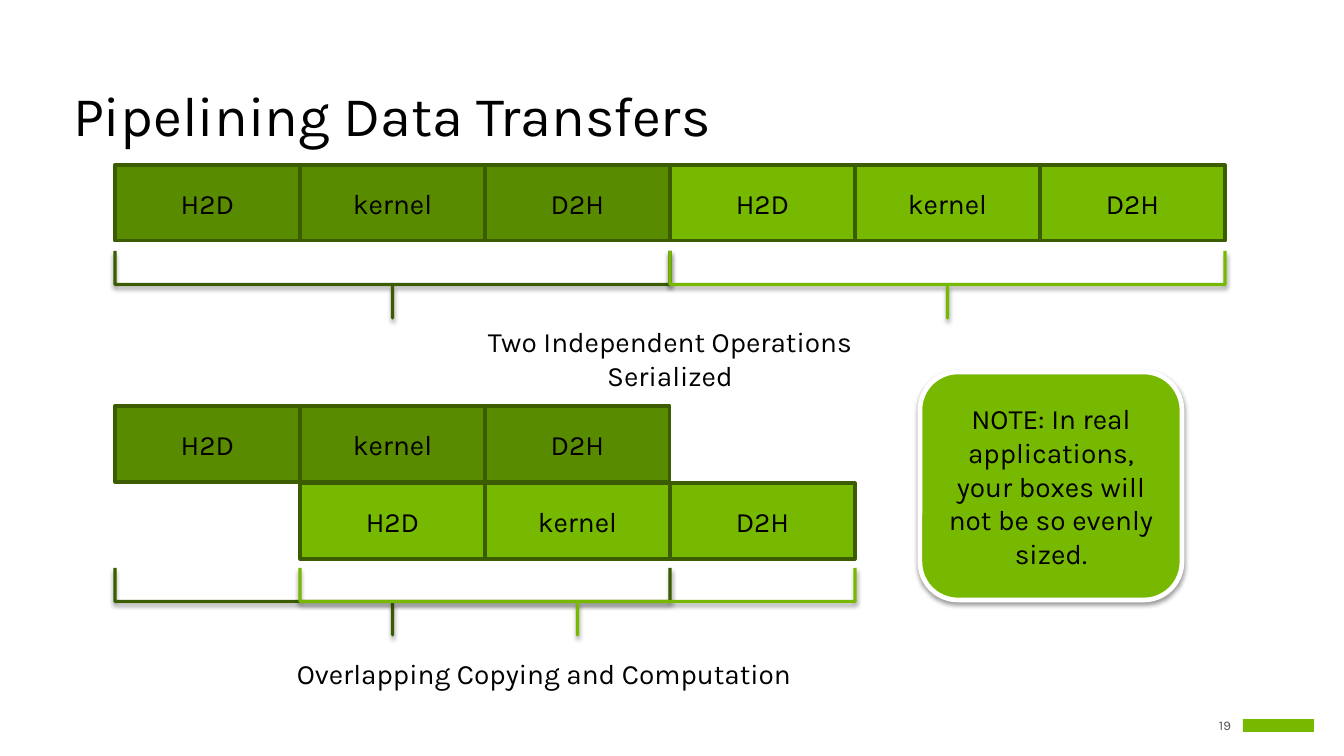
from lxml.etree import SubElement
from pptx import Presentation
from pptx.dml.color import RGBColor
from pptx.enum.shapes import MSO_SHAPE as Shape
from pptx.enum.text import MSO_ANCHOR as Anchor, PP_ALIGN as Align
from pptx.oxml.ns import qn
from pptx.util import Emu, Pt

EMU_PER_PX = 914400 / 112
FONT = "Karla"
BLACK, WHITE, GRAY = "000000", "FFFFFF", "505050"
GREEN, DARK_GREEN, OUTLINE = "76B900", "598B00", "3B5C00"
STAGES = ("H2D", "kernel", "D2H")
LEFT, STAGE_WIDTH, STAGE_HEIGHT = 115, 185, 76
BRACE_DEPTH = 67


def px(length):
    return Emu(round(length * EMU_PER_PX))


def color(value):
    return RGBColor.from_string(value)


def write(box, text, size=18, fill=BLACK, align=Align.CENTER,
          anchor=Anchor.MIDDLE, inset=None, spacing=None):
    frame = box.text_frame
    frame.word_wrap = True
    frame.vertical_anchor = anchor
    if inset is not None:
        frame.margin_left = frame.margin_right = px(inset)
        frame.margin_top = frame.margin_bottom = px(inset)
    para = frame.paragraphs[0]
    para.alignment = align
    if spacing:
        para.line_spacing = spacing
    span = para.add_run()
    span.text = text
    span.font.name = FONT
    span.font.size = Pt(size)
    span.font.color.rgb = color(fill)


def add_text(page, area, text, **style):
    box = page.shapes.add_textbox(*map(px, area))
    write(box, text, **style)


def add_shadow(shape):
    effects = shape._element.spPr.find(qn("a:effectLst"))
    shadow = SubElement(effects, qn("a:outerShdw"), blurRad=str(Pt(3.1)),
                        dist=str(Pt(1.6)), dir="5400000", rotWithShape="0")
    tint = SubElement(shadow, qn("a:srgbClr"), val=BLACK)
    SubElement(tint, qn("a:alpha"), val="38000")


def add_shape(page, kind, area, fill=None, line=None, width=2):
    shape = page.shapes.add_shape(kind, *map(px, area))
    shape.shadow.inherit = False
    if fill:
        shape.fill.solid()
        shape.fill.fore_color.rgb = color(fill)
    else:
        shape.fill.background()
    if line:
        shape.line.color.rgb = color(line)
        shape.line.width = Pt(width)
    else:
        shape.line.fill.background()
    return shape


def add_operation(page, column, top, fill):
    for index, stage in enumerate(STAGES, column):
        area = (LEFT + index * STAGE_WIDTH, top, STAGE_WIDTH, STAGE_HEIGHT)
        write(add_shape(page, Shape.RECTANGLE, area, fill, OUTLINE), stage)


def add_brace(page, column, top, line):
    span = len(STAGES) * STAGE_WIDTH
    center_x = LEFT + column * STAGE_WIDTH + span / 2
    center_y = top + BRACE_DEPTH / 2
    area = (center_x - BRACE_DEPTH / 2, center_y - span / 2, BRACE_DEPTH, span)
    brace = add_shape(page, Shape.RIGHT_BRACE, area, line=line)
    brace.adjustments[0] = 0
    brace.adjustments[1] = 0.5
    brace.rotation = 90
    add_shadow(brace)


def add_note(page, area, text):
    note = add_shape(page, Shape.ROUNDED_RECTANGLE, area, GREEN, WHITE, width=3)
    add_shadow(note)
    write(note, text)


def main():
    deck = Presentation()
    deck.slide_width, deck.slide_height = px(1344), px(756)
    page = deck.slides.add_slide(deck.slide_layouts[6])

    add_text(page, (1196, 715, 35, 20), "19", size=8.5, fill=GRAY,
             align=Align.RIGHT, inset=0)
    add_shape(page, Shape.RECTANGLE, (1243, 719, 71, 13), GREEN)
    add_text(page, (62, 81, 1222, 73), "Pipelining Data Transfers", size=36,
             align=Align.LEFT, anchor=Anchor.BOTTOM, spacing=0.9)

    for column, top, fill in ((0, 165, DARK_GREEN), (3, 165, GREEN),
                              (0, 406, DARK_GREEN), (1, 483, GREEN)):
        add_operation(page, column, top, fill)
    for column, top, line in ((0, 251, OUTLINE), (3, 251, GREEN),
                              (0, 568, OUTLINE), (1, 568, GREEN)):
        add_brace(page, column, top, line)

    add_text(page, (412, 319, 516, 45), "Two Independent Operations Serialized",
             anchor=Anchor.TOP)
    add_text(page, (279, 651, 530, 45), "Overlapping Copying and Computation",
             anchor=Anchor.TOP)
    add_note(page, (920, 372, 262, 228),
             "NOTE: In real applications, your boxes will not be so evenly sized.")

    deck.save("out.pptx")


if __name__ == "__main__":
    main()
